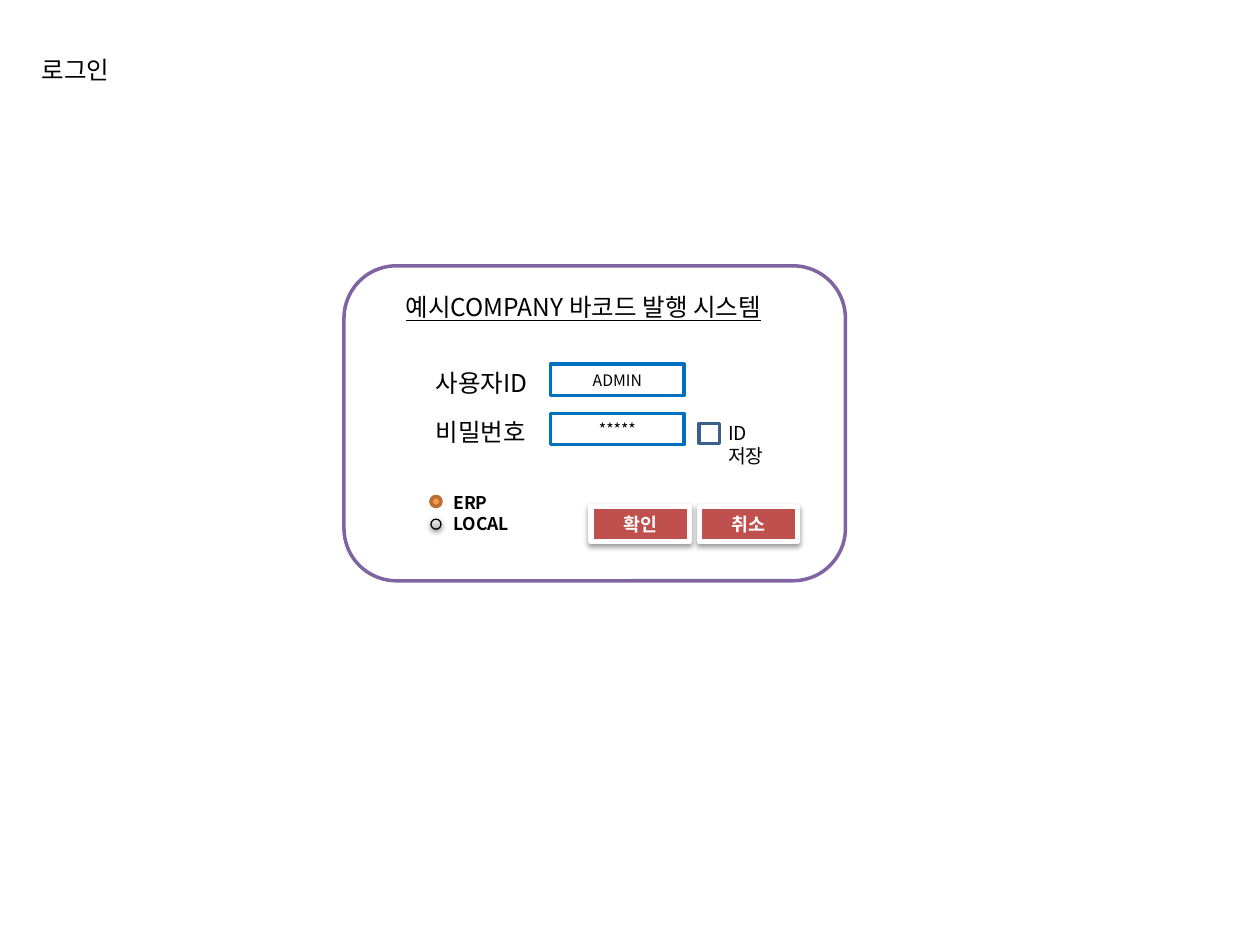
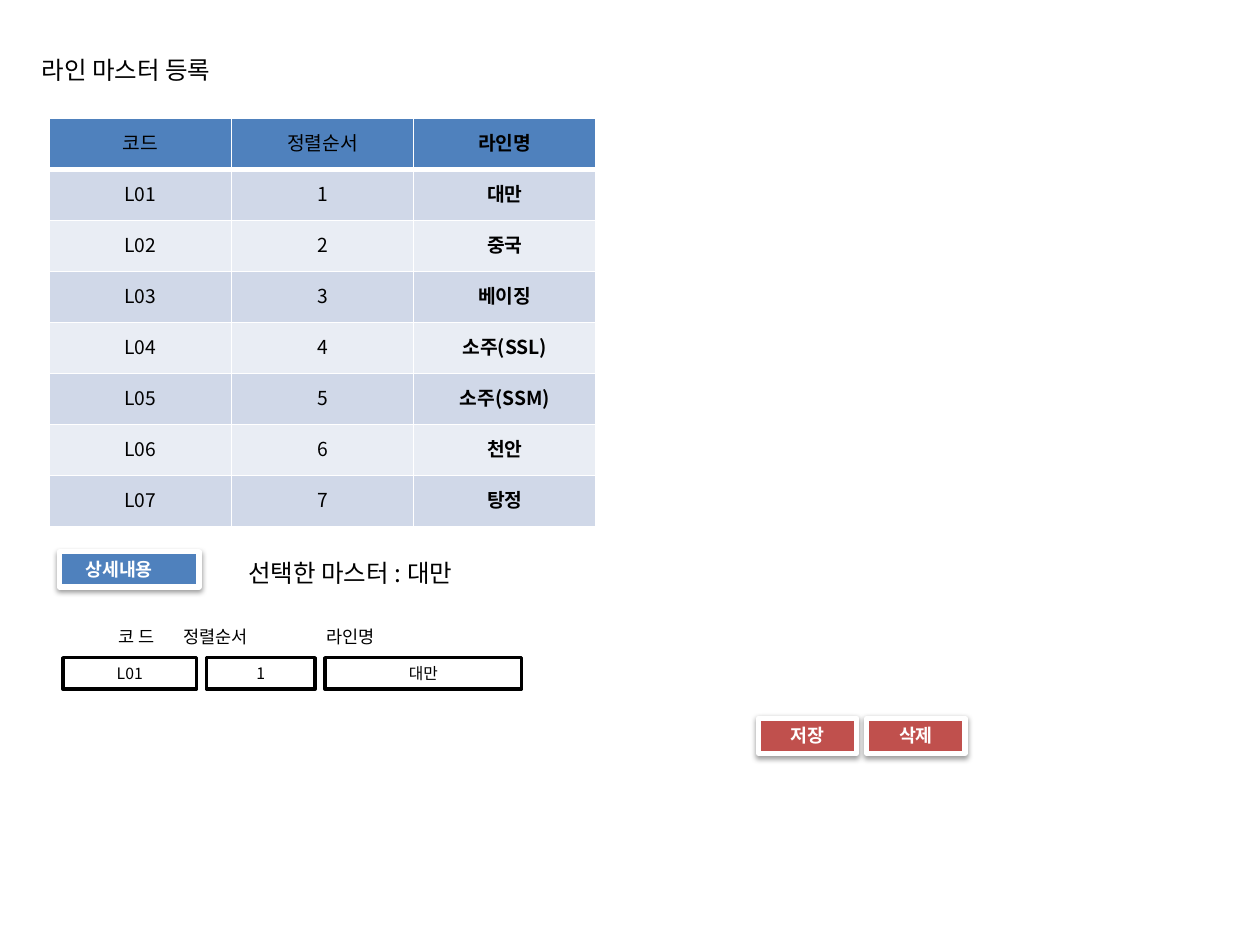
from lxml import etree
from pptx import Presentation
from pptx import util as u
from pptx.dml.color import RGBColor
from pptx.enum import shapes, text
from pptx.oxml import ns

FONT = "Noto Sans CJK KR"
BLACK = RGBColor(0x00, 0x00, 0x00)
WHITE = RGBColor(0xFF, 0xFF, 0xFF)
RED = RGBColor(0xC0, 0x50, 0x4D)
BLUE = RGBColor(0x4F, 0x81, 0xBD)
FIELD_BLUE = RGBColor(0x00, 0x70, 0xC0)
CHECK_BLUE = RGBColor(0x3A, 0x5F, 0x8C)
PURPLE = RGBColor(0x80, 0x64, 0xA2)
ORANGE = RGBColor(0xF7, 0x96, 0x46)
BROWN = RGBColor(0xB7, 0x6F, 0x34)
SILVER = RGBColor(0xBD, 0xBD, 0xBD)
PALE_GREY = RGBColor(0xEE, 0xEE, 0xEE)
BANDS = (RGBColor(0xD0, 0xD8, 0xE8), RGBColor(0xE9, 0xED, 0xF4))

LOGIN = {
    "title": "로그인",
    "heading": "예시COMPANY 바코드 발행 시스템",
    "fields": [("사용자ID", "ADMIN"), ("비밀번호", "*****")],
    "remember": "ID저장",
    "modes": ["ERP", "LOCAL"],
    "buttons": ["확인", "취소"],
}
LINES = {
    "title": "라인 마스터 등록",
    "header": ["코드", "정렬순서", "라인명"],
    "names": ["대만", "중국", "베이징", "소주(SSL)", "소주(SSM)", "천안", "탕정"],
    "detail": "상세내용",
    "selected": "선택한 마스터 : 대만",
    "labels": "\t코 드\t정렬순서\t라인명",
    "label_tabs": [0.37, 0.89, 2.02],
    "record": [("L01", 1.06), ("1", 0.86), ("대만", 1.56)],
    "buttons": ["저장", "삭제"],
}

RECT = shapes.MSO_SHAPE.RECTANGLE
DOT = shapes.MSO_SHAPE.FLOWCHART_CONNECTOR
FIELD_HEIGHT = 0.25
BUTTON_SIZE = (0.78, 0.28)
BUTTON_STEP = 0.86


def inches(*lengths):
    return [u.Inches(length) for length in lengths]


def add_xml(parent, tag, **attributes):
    values = {key: str(value) for key, value in attributes.items()}
    return etree.SubElement(parent, ns.qn(tag), values)


def write(frame, content, size=14, color=BLACK, bold=False, underline=False,
          align=text.PP_ALIGN.LEFT, tabs=()):
    frame.text = content
    for paragraph in frame.paragraphs:
        paragraph.alignment = align
        paragraph.line_spacing = u.Pt(size * 1.2)
        if tabs:
            stops = add_xml(paragraph._p.get_or_add_pPr(), "a:tabLst")
            for stop in tabs:
                add_xml(stops, "a:tab", pos=u.Inches(stop), algn="l")
        for run in paragraph.runs:
            font = run.font
            font.size, font.bold, font.underline = u.Pt(size), bold, underline
            font.color.rgb = color
            font.name = FONT
            add_xml(run._r.get_or_add_rPr(), "a:ea", typeface=FONT)


def add_label(slide, content, box, wrap=False, **fmt):
    label = slide.shapes.add_textbox(*inches(*box))
    label.text_frame.word_wrap = wrap
    label.text_frame.auto_size = text.MSO_AUTO_SIZE.SHAPE_TO_FIT_TEXT
    write(label.text_frame, content, **fmt)


def add_box(slide, kind, box, line, width=2, fill=None, raised=False):
    shape = slide.shapes.add_shape(kind, *inches(*box))
    shape.shadow.inherit = False
    if fill is None:
        shape.fill.background()
    else:
        shape.fill.solid()
        shape.fill.fore_color.rgb = fill
    shape.line.color.rgb = line
    shape.line.width = u.Pt(width)
    if raised:
        effects = shape._element.spPr.find(ns.qn("a:effectLst"))
        shadow = add_xml(effects, "a:outerShdw", blurRad=u.Pt(3.1), dist=u.Pt(1.6),
                         dir=5400000, rotWithShape=0)
        add_xml(add_xml(shadow, "a:srgbClr", val=BLACK), "a:alpha", val=38000)
    frame = shape.text_frame
    frame.word_wrap = True
    frame.vertical_anchor = text.MSO_ANCHOR.TOP
    return shape


def add_field(slide, value, left, top, width, line):
    field = add_box(slide, RECT, (left, top, width, FIELD_HEIGHT), line, fill=WHITE)
    write(field.text_frame, value, size=9, align=text.PP_ALIGN.CENTER)


def add_button(slide, caption, box, fill, align=text.PP_ALIGN.CENTER):
    button = add_box(slide, RECT, box, WHITE, 3, fill, raised=True)
    write(button.text_frame, caption, size=10.5, color=WHITE, bold=True, align=align)
    return button


def add_buttons(slide, captions, left, top):
    for i, caption in enumerate(captions):
        add_button(slide, caption, (left + i * BUTTON_STEP, top, *BUTTON_SIZE), RED)


def add_page(deck, title, width):
    slide = deck.slides.add_slide(deck.slide_layouts[5])
    heading = slide.shapes.title
    heading.left, heading.top, heading.width, heading.height = inches(0.23, 0.39, width, 0.34)
    frame = heading.text_frame
    frame.word_wrap = False
    frame.auto_size = text.MSO_AUTO_SIZE.SHAPE_TO_FIT_TEXT
    frame.vertical_anchor = text.MSO_ANCHOR.TOP
    write(frame, title)
    return slide


def build_login(deck):
    slide = add_page(deck, LOGIN["title"], 0.79)
    add_box(slide, shapes.MSO_SHAPE.ROUNDED_RECTANGLE, (2.73, 2.11, 3.98, 2.5), PURPLE)
    add_label(slide, LOGIN["heading"], (3.12, 2.27, 3.32, 0.34), underline=True)
    for i, (name, value) in enumerate(LOGIN["fields"]):
        top = 2.87 + i * 0.39
        add_label(slide, name, (3.36, top, 0.98, 0.34))
        add_field(slide, value, 4.37, top + 0.02, 1.06, FIELD_BLUE)
    add_box(slide, RECT, (5.55, 3.36, 0.16, 0.16), CHECK_BLUE)
    add_label(slide, LOGIN["remember"], (5.68, 3.29, 0.62, 0.29), wrap=True, size=11)
    add_label(slide, "\n".join(LOGIN["modes"]), (3.5, 3.86, 0.64, 0.44), size=10, bold=True)
    add_box(slide, DOT, (3.42, 3.94, 0.08, 0.08), BROWN, fill=ORANGE)
    unselected = add_box(slide, DOT, (3.42, 4.12, 0.08, 0.08), BLACK, 0.75, raised=True)
    unselected.fill.gradient()
    unselected.fill.gradient_angle = 90
    for stop, color in zip(unselected.fill.gradient_stops, (SILVER, PALE_GREY)):
        stop.color.rgb = color
    add_buttons(slide, LOGIN["buttons"], 4.69, 4.02)


def format_cell(cell, content, fill, bold, bottom):
    cell.fill.solid()
    cell.fill.fore_color.rgb = fill
    cell.vertical_anchor = text.MSO_ANCHOR.MIDDLE
    cell.margin_left = cell.margin_right = cell.margin_top = u.Inches(0.01)
    cell.margin_bottom = 0
    write(cell.text_frame, content, size=11, bold=bold, align=text.PP_ALIGN.CENTER)
    properties = cell._tc.get_or_add_tcPr()
    for i, (side, width) in enumerate(zip("LRTB", (1, 1, 1, bottom))):
        border = add_xml(properties, f"a:ln{side}", w=u.Pt(width))
        add_xml(add_xml(border, "a:solidFill"), "a:srgbClr", val=WHITE)
        properties.insert(i, border)


def add_line_table(slide):
    rows = [LINES["header"]]
    rows += [(f"L{i:02}", str(i), name) for i, name in enumerate(LINES["names"], 1)]
    columns = len(LINES["header"])
    table = slide.shapes.add_table(len(rows), columns, *inches(0.39, 0.94, 4.34, 3.24)).table
    for r, row in enumerate(rows):
        fill = BANDS[(r - 1) % 2] if r else BLUE
        for c, content in enumerate(row):
            bottom = 1 if r else 3
            format_cell(table.cell(r, c), content, fill, c == columns - 1, bottom)
            if r == 1:
                border = table.cell(r, c)._tc.tcPr.find(ns.qn("a:lnT"))
                border.set("w", str(u.Pt(3)))


def build_lines(deck):
    slide = add_page(deck, LINES["title"], 1.71)
    add_line_table(slide)
    detail = add_button(slide, LINES["detail"], (0.47, 4.38, 1.11, 0.28), BLUE,
                        align=text.PP_ALIGN.LEFT)
    detail.text_frame.margin_left = u.Inches(0.21)
    add_label(slide, LINES["selected"], (1.87, 4.38, 2.02, 0.34))
    add_label(slide, LINES["labels"], (0.47, 4.92, 6.09, 0.27), wrap=True, size=10,
              tabs=LINES["label_tabs"])
    left = 0.5
    for value, width in LINES["record"]:
        add_field(slide, value, left, 5.22, width, BLACK)
        left += width + 0.08
    add_buttons(slide, LINES["buttons"], 6.02, 5.7)


def main():
    deck = Presentation()
    deck.slide_width, deck.slide_height = inches(10, 7.5)
    build_login(deck)
    build_lines(deck)
    deck.save("out.pptx")


if __name__ == "__main__":
    main()
